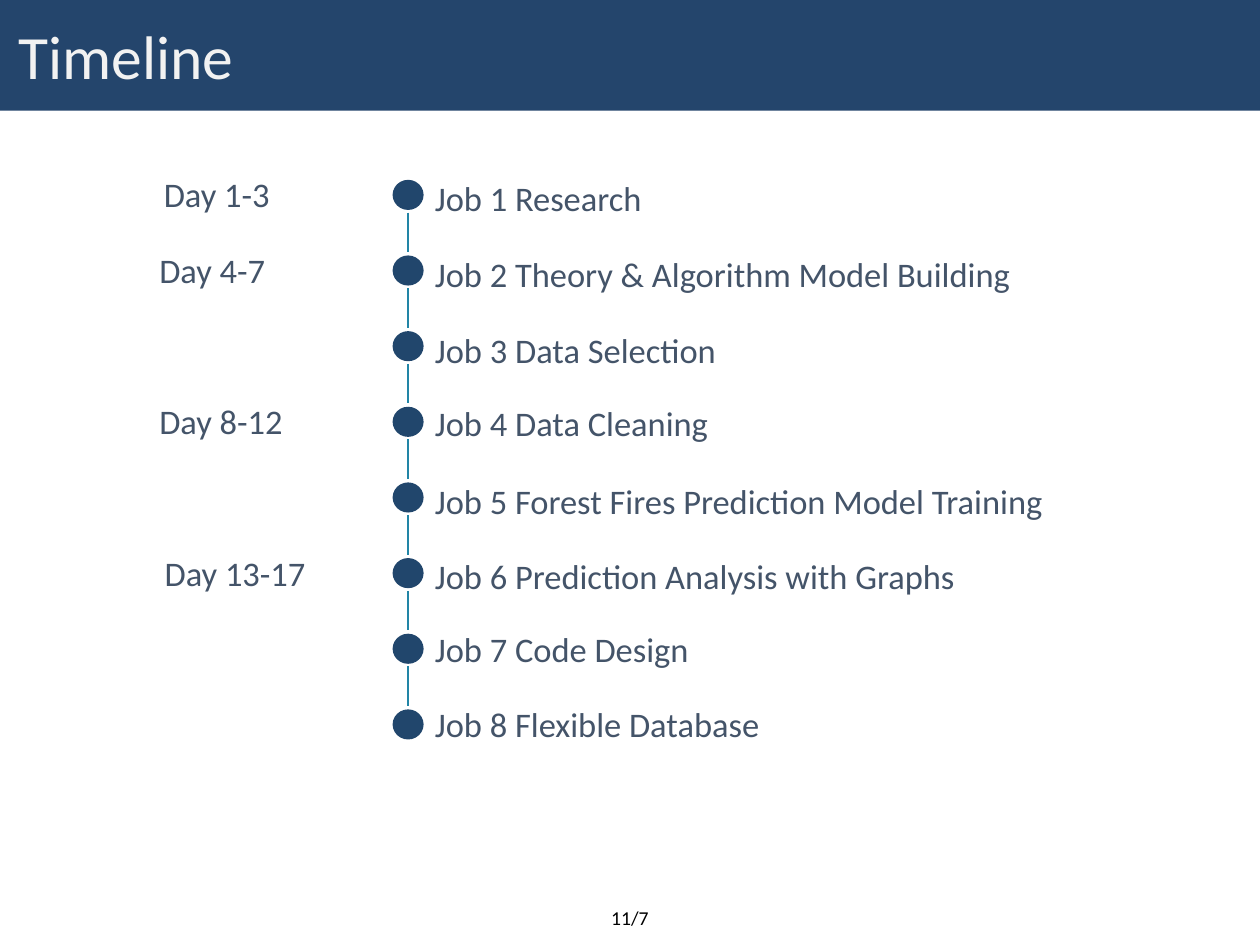
from lxml import etree
from pptx import Presentation
from pptx.dml.color import RGBColor
from pptx.enum import shapes, text
from pptx.oxml import ns
from pptx.util import Pt

FONT = "Calibri"
NAVY, DOT, LINK = "24456C", "21466C", "2285A6"
SLATE, PALE, BLACK = "445469", "F2F2F2", "000000"

FIRST_DOT_TOP, PITCH = 146.2, 61.5
DOT_LEFT, DOT_WIDTH, DOT_HEIGHT = 319, 25.2, 24.5
LINK_X, LINK_OFFSET, LINK_LENGTH = 331.6, 26.6, 32.2
JOB_LEFT, JOB_WIDTH = 346.3, 622
DAY_WIDTH, DAY_RISE, LABEL_HEIGHT = 181.4, 8.7, 41

JOBS = [
    ("Job 1 Research", 5.6),
    ("Job 2 Theory & Algorithm Model Building", 5.6),
    ("Job 3 Data Selection", 5.6),
    ("Job 4 Data Cleaning", 7.4),
    ("Job 5 Forest Fires Prediction Model Training", 5.6),
    ("Job 6 Prediction Analysis with Graphs", 5.8),
    ("Job 7 Code Design", 8.4),
    ("Job 8 Flexible Database", 8.4),
]
DAYS = [
    ("Day 1-3", 0, 126),
    ("Day 4-7", 1, 122.4),
    ("Day 8-12", 3, 122.4),
    ("Day 13-17", 5, 126.7),
]


def color(value):
    return RGBColor.from_string(value)


def dot_top(row):
    return FIRST_DOT_TOP + row * PITCH


def write(shape, content, size, fill, align=text.PP_ALIGN.LEFT, **frame_format):
    frame = shape.text_frame
    for name, value in frame_format.items():
        setattr(frame, name, value)
    paragraph = frame.paragraphs[0]
    paragraph.alignment = align
    run = paragraph.add_run()
    run.text = content
    for name, value in {"name": FONT, "size": Pt(size)}.items():
        setattr(run.font, name, value)
    run.font.color.rgb = color(fill)


def add_filled(slide, kind, box, fill):
    shape = slide.shapes.add_shape(kind, *map(Pt, box))
    shape.shadow.inherit = False
    shape.fill.solid()
    shape.fill.fore_color.rgb = color(fill)
    shape.line.fill.background()
    return shape


def add_label(slide, content, box):
    shape = slide.shapes.add_textbox(*map(Pt, box))
    write(shape, content, 28, SLATE, word_wrap=True)


def add_link(slide, top):
    link = slide.shapes.add_connector(
        shapes.MSO_CONNECTOR.STRAIGHT,
        Pt(LINK_X), Pt(top), Pt(LINK_X), Pt(top + LINK_LENGTH))
    link.line.color.rgb = color(LINK)
    link.line.width = Pt(1.5)
    etree.SubElement(link._element.spPr, ns.qn("a:effectLst"))


def add_title(slide):
    banner = add_filled(
        slide, shapes.MSO_SHAPE.RECTANGLE, (-0.7, 0, 1025.3, 90), NAVY)
    write(banner, "Timeline", 50, PALE, word_wrap=True,
          vertical_anchor=text.MSO_ANCHOR.MIDDLE,
          margin_left=Pt(15.8), margin_right=0, margin_top=0, margin_bottom=0)


def add_page_number(slide):
    shape = slide.shapes.add_textbox(Pt(487.9), Pt(732.2), Pt(48), Pt(27.4))
    margins = {f"margin_{side}": Pt(4.3)
               for side in ("left", "right", "top", "bottom")}
    write(shape, "11/7", 16, BLACK, text.PP_ALIGN.CENTER, word_wrap=False,
          auto_size=text.MSO_AUTO_SIZE.SHAPE_TO_FIT_TEXT, **margins)


def add_timeline(slide):
    for row, (job, rise) in enumerate(JOBS):
        top = dot_top(row)
        add_filled(slide, shapes.MSO_SHAPE.OVAL,
                   (DOT_LEFT, top, DOT_WIDTH, DOT_HEIGHT), DOT)
        if row < len(JOBS) - 1:
            add_link(slide, top + LINK_OFFSET)
        add_label(slide, job, (JOB_LEFT, top - rise, JOB_WIDTH, LABEL_HEIGHT))
    for day, row, left in DAYS:
        add_label(slide, day,
                  (left, dot_top(row) - DAY_RISE, DAY_WIDTH, LABEL_HEIGHT))


def main():
    presentation = Presentation()
    presentation.slide_width = Pt(1023.84)
    presentation.slide_height = Pt(768.24)
    slide = presentation.slides.add_slide(presentation.slide_layouts[6])
    add_title(slide)
    add_page_number(slide)
    add_timeline(slide)
    presentation.save("out.pptx")


if __name__ == "__main__":
    main()
